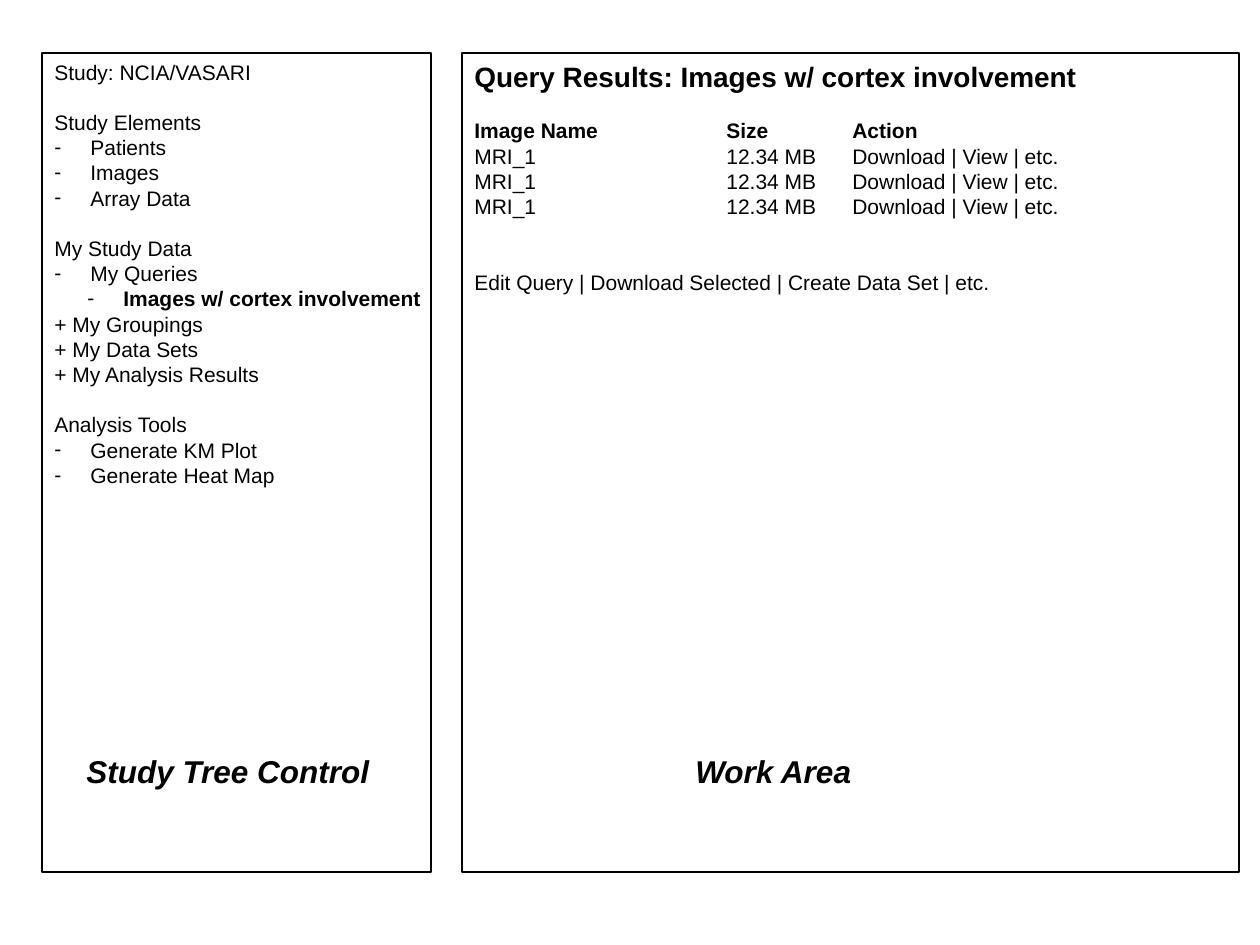
from lxml import etree
from pptx import Presentation
from pptx import util as u
from pptx.dml.color import RGBColor
from pptx.enum import shapes, text
from pptx.oxml.ns import qn

BLACK = RGBColor(0x00, 0x00, 0x00)
FONT = "Arial"
SIZE = 12
STEP = 36  # hanging indent of a tree level
STOPS = (252, 378)  # Size and Action columns

TREE = [
    ("Study: NCIA/VASARI", []),
    ("Study Elements", ["Patients", "Images", "Array Data"]),
    ("My Study Data", ["My Queries"]),
    ("Analysis Tools", ["Generate KM Plot", "Generate Heat Map"]),
]
QUERY = "Images w/ cortex involvement"
CLOSED = ["My Groupings", "My Data Sets", "My Analysis Results"]
HEADS = ("Image Name", "Size", "Action")
ROWS = [("MRI_1", "12.34 MB", "Download | View | etc.")] * 3


def px(n):
    return u.Emu(round(n * 914400 / 126))


def set_frame(frame):
    frame.word_wrap = False
    frame.vertical_anchor = text.MSO_ANCHOR.TOP
    frame.margin_left = frame.margin_right = u.Inches(0.1)
    frame.margin_top = frame.margin_bottom = u.Inches(0.05)


def add_panel(slide, left, width):
    box = slide.shapes.add_shape(
        shapes.MSO_SHAPE.RECTANGLE, px(left), px(53), px(width), px(819))
    box.shadow.inherit = False
    box.fill.background()
    box.line.color.rgb = BLACK
    box.line.width = u.Pt(1)
    set_frame(box.text_frame)
    return box.text_frame


def add_line(frame, words, size=SIZE, bold=False, gap=0, level=0, stops=()):
    """Add a paragraph; gap counts empty lines above, level 0 has no dash."""
    first = frame.paragraphs[0]
    para = frame.add_paragraph() if first.runs else first
    para.add_run().text = words
    props = para._p.get_or_add_pPr()
    if level:
        props.set("marL", str(px(STEP * level - 3 * (level - 1))))
        props.set("indent", str(-px(STEP)))
        etree.SubElement(props, qn("a:buFont"), typeface=FONT)
        etree.SubElement(props, qn("a:buChar"), char="-")
    if stops:
        tabs = etree.SubElement(props, qn("a:tabLst"))
        for stop in stops:
            etree.SubElement(tabs, qn("a:tab"), pos=str(px(stop)), algn="l")
    para.alignment = text.PP_ALIGN.LEFT
    para.line_spacing = u.Pt(size * 1.2)
    if gap:
        para.space_before = u.Pt(gap * SIZE * 1.2)
    set_font(para.font, size, bold)


def set_font(font, size, bold):
    font.name = FONT
    font.size = u.Pt(size)
    font.bold = bold
    font.color.rgb = BLACK


def add_label(slide, words, left, width):
    box = slide.shapes.add_textbox(px(left), px(746), px(width), px(50))
    set_frame(box.text_frame)
    para = box.text_frame.paragraphs[0]
    para.text = words
    set_font(para.font, 18, True)
    para.font.italic = True


def fill_tree(frame):
    for i, (head, leaves) in enumerate(TREE):
        add_line(frame, head, gap=int(i > 0))
        for leaf in leaves:
            add_line(frame, leaf, level=1)
        if head == "My Study Data":
            add_line(frame, QUERY, bold=True, level=2)
            for name in CLOSED:
                add_line(frame, "+ " + name)


def fill_work(frame):
    add_line(frame, "Query Results: " + QUERY, size=16, bold=True)
    add_line(frame, "\t".join(HEADS), bold=True, gap=1, stops=STOPS)
    for row in ROWS:
        add_line(frame, "\t".join(row), stops=STOPS)
    add_line(frame, "Edit Query | Download Selected | Create Data Set | etc.",
             gap=2)


def main():
    deck = Presentation()
    deck.slide_width, deck.slide_height = u.Inches(10), u.Inches(7.5)
    slide = deck.slides.add_slide(deck.slide_layouts[6])
    fill_tree(add_panel(slide, 42, 389))
    fill_work(add_panel(slide, 462, 777))
    add_label(slide, "Study Tree Control", 74, 309)
    add_label(slide, "Work Area", 683, 183)
    deck.save("out.pptx")


if __name__ == "__main__":
    main()
